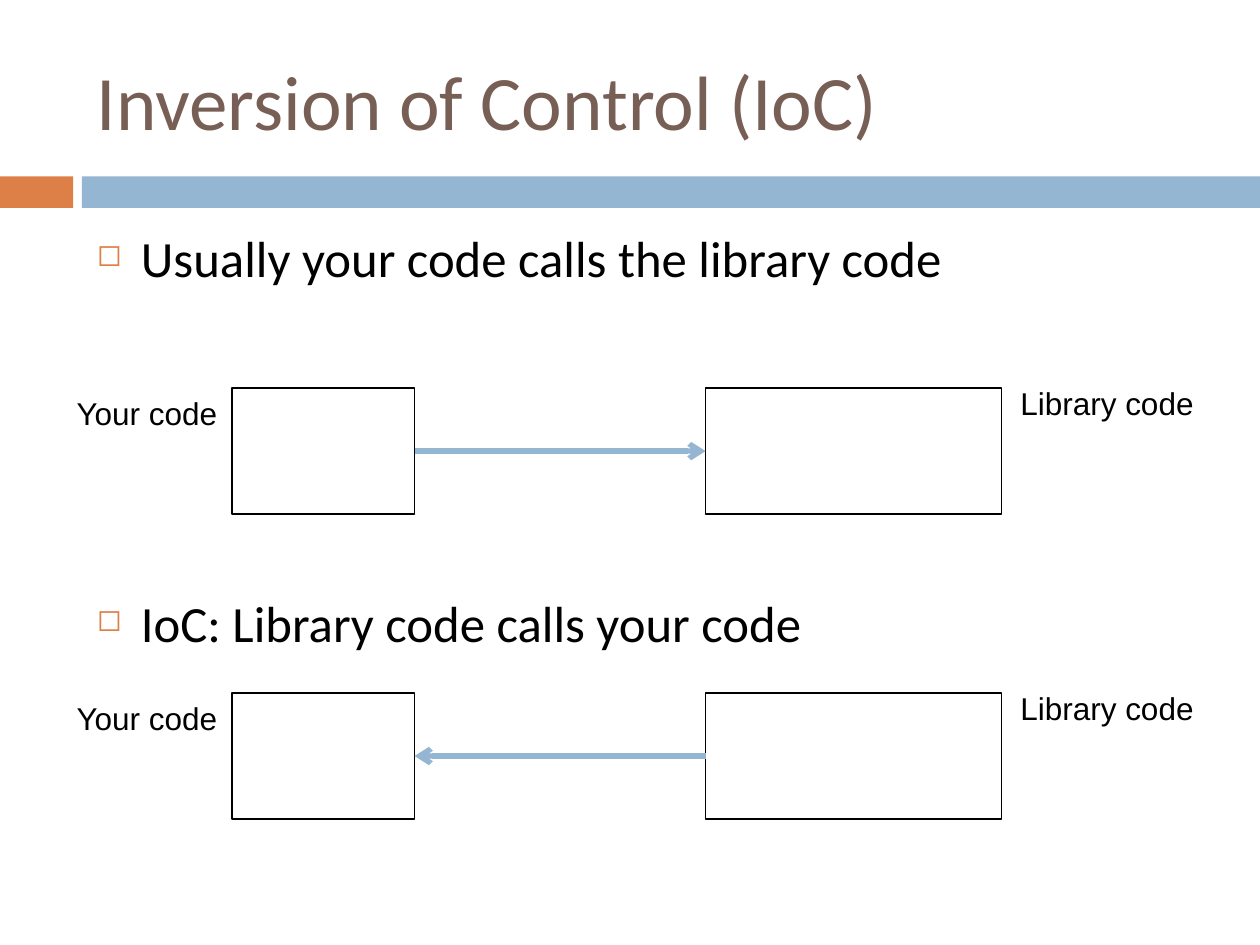
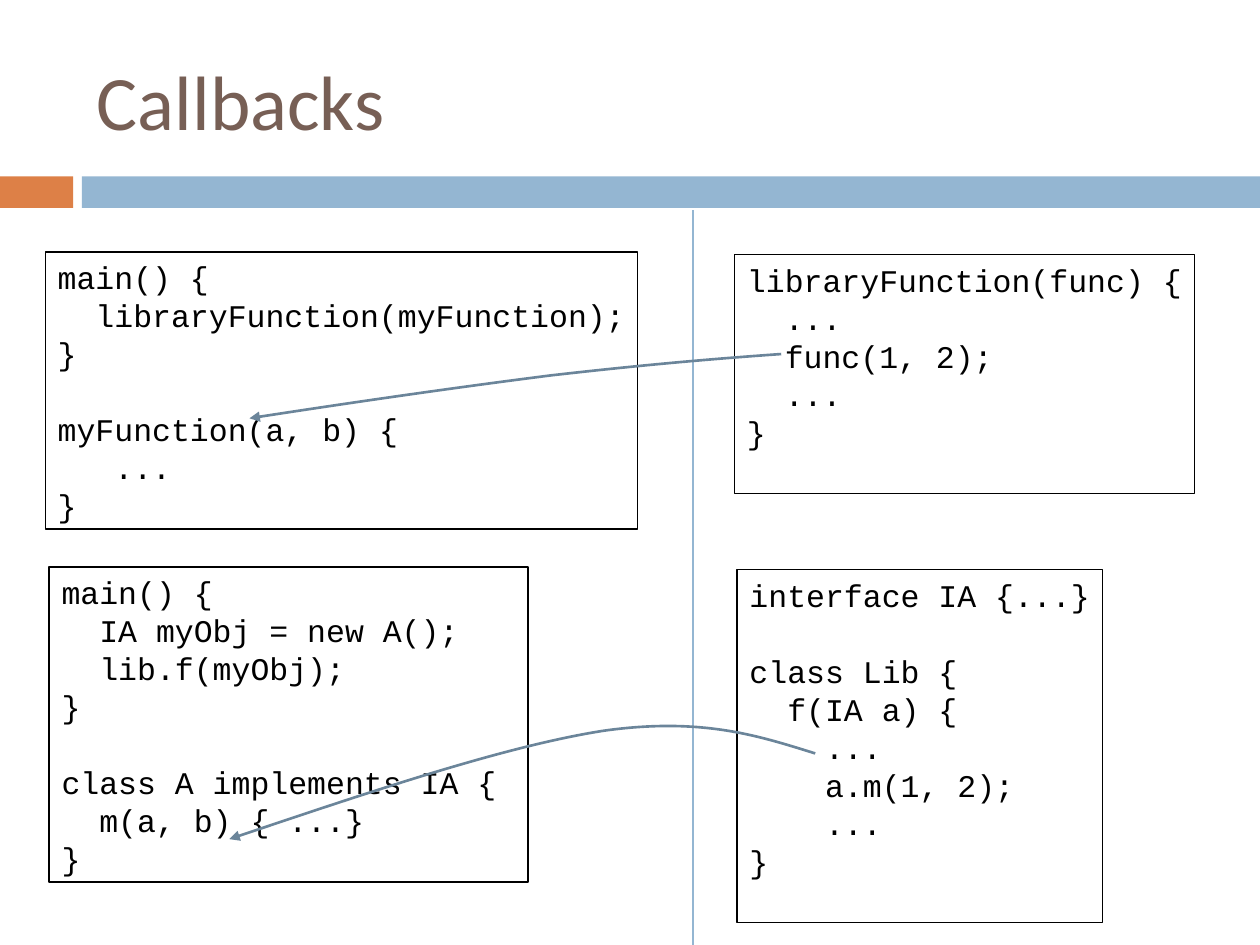
"""Build two slides on inversion of control and callbacks."""
from dataclasses import dataclass

from lxml import etree
from pptx import Presentation
from pptx.dml.color import RGBColor
from pptx.enum.shapes import MSO_CONNECTOR, MSO_SHAPE
from pptx.enum.text import MSO_ANCHOR
from pptx.oxml.ns import qn
from pptx.shapes.autoshape import Shape
from pptx.shapes.connector import Connector
from pptx.slide import Slide
from pptx.util import Inches, Pt

RECTANGLE = MSO_SHAPE.RECTANGLE
STRAIGHT = MSO_CONNECTOR.STRAIGHT
TOP = MSO_ANCHOR.TOP
MIDDLE = MSO_ANCHOR.MIDDLE

ORANGE = RGBColor(0xDD, 0x80, 0x47)
BLUE = RGBColor(0x94, 0xB6, 0xD2)
SLATE = RGBColor(0x6B, 0x85, 0x9A)
BROWN = RGBColor(0x77, 0x5F, 0x55)
BLACK = RGBColor(0, 0, 0)

TITLE_FONT = {"name": "Calibri", "size": Pt(44)}
BULLET_FONT = {"name": "Calibri", "size": Pt(29)}
LABEL_FONT = {"name": "Arial", "size": Pt(18)}
CODE_FONT = {"name": "Courier New", "size": Pt(18)}

CODE_LINE_HEIGHT = 21.7
CODE_CHARACTER_WIDTH = 0.15
BULLET_INDENT = 0.35
LEFT_SIDE, RIGHT_SIDE = 1, 3


@dataclass(frozen=True)
class Box:
    """A rectangle in inches."""

    left: float
    top: float
    width: float
    height: float

    def lengths(self) -> list[Inches]:
        """Return the position and size as lengths."""
        return [Inches(value) for value in (self.left, self.top, self.width, self.height)]


@dataclass(frozen=True)
class Band:
    """A filled strip below the title."""

    box: Box
    color: RGBColor


@dataclass(frozen=True)
class Bullet:
    """A bulleted line and the gap above it in points."""

    text: str
    space_before: float


@dataclass(frozen=True)
class CallDiagram:
    """A pair of code boxes and the direction of the call."""

    top: float
    from_library: bool


@dataclass(frozen=True)
class Listing:
    """A framed piece of code."""

    box: Box
    code: str


@dataclass(frozen=True)
class CallCurve:
    """A start point followed by cubic control points, three per segment."""

    points: tuple[tuple[float, float], ...]


TITLE_BOX = Box(0.67, 0.25, 8.92, 1.08)
BODY_BOX = Box(0.67, 1.75, 8.92, 5.58)

BANDS = (
    Band(Box(0, 1.4, 0.58, 0.25), ORANGE),
    Band(Box(0.65, 1.4, 9.35, 0.25), BLUE),
)

BULLETS = (
    Bullet("Usually your code calls the library code", 7),
    Bullet("IoC: Library code calls your code", 174),
)

CALL_DIAGRAMS = (CallDiagram(3.08, False), CallDiagram(5.5, True))

LISTINGS = (
    Listing(Box(0.36, 2, 4.7, 2.2), """main() {
  libraryFunction(myFunction);
}

myFunction(a, b) {
   ...
}"""),
    Listing(Box(5.83, 2.02, 3.65, 1.9), """libraryFunction(func) {
  ...
  func(1, 2);
  ...
}"""),
    Listing(Box(0.39, 4.5, 3.8, 2.5), """main() {
  IA myObj = new A();
  lib.f(myObj);
}

class A implements IA {
  m(a, b) { ...}
}"""),
    Listing(Box(5.85, 4.52, 2.9, 2.8), """interface IA {...}

class Lib {
  f(IA a) {
    ...
    a.m(1, 2);
    ...
}"""),
)

CALL_CURVES = (
    CallCurve(((6.47, 5.98), (6.02, 5.84), (5.57, 5.69), (4.79, 5.8),
               (4.02, 5.92), (2.92, 6.29), (1.82, 6.66))),
    CallCurve(((6.2, 2.81), (5.63, 2.85), (5.07, 2.9), (4.37, 2.98),
               (3.66, 3.07), (2.82, 3.19), (1.98, 3.32))),
)


def add_run(paragraph, text: str, font: dict, color: RGBColor = BLACK) -> None:
    """Add formatted text to a paragraph."""
    run = paragraph.add_run()
    run.text = text
    for name, value in font.items():
        setattr(run.font, name, value)
    run.font.color.rgb = color


def prepare_frame(shape: Shape, anchor: MSO_ANCHOR = TOP):
    """Set up the text frame of a shape and return it."""
    frame = shape.text_frame
    settings = {"word_wrap": True, "vertical_anchor": anchor, "margin_right": 0}
    for name, value in settings.items():
        setattr(frame, name, value)
    return frame


def add_text(slide: Slide, box: Box, text: str, font: dict,
             color: RGBColor = BLACK, anchor: MSO_ANCHOR = TOP) -> None:
    """Add a text box with one line."""
    frame = prepare_frame(slide.shapes.add_textbox(*box.lengths()), anchor)
    add_run(frame.paragraphs[0], text, font, color)


def add_frame(slide: Slide, box: Box) -> Shape:
    """Add an unfilled rectangle with a thin black outline."""
    shape = slide.shapes.add_shape(RECTANGLE, *box.lengths())
    shape.shadow.inherit = False
    shape.fill.background()
    style_line(shape, BLACK, 0.75)
    return shape


def style_line(shape: Shape | Connector, color: RGBColor, width: float) -> None:
    """Set the colour and width of an outline."""
    shape.line.color.rgb = color
    shape.line.width = Pt(width)


def add_arrowhead(shape: Shape | Connector, kind: str) -> None:
    """Put an arrowhead at the end of a line."""
    line = shape.element.spPr.find(qn("a:ln"))
    etree.SubElement(line, qn("a:tailEnd"), type=kind)


def add_line(slide: Slide, start: tuple[float, float], end: tuple[float, float],
             width: float) -> Connector:
    """Add a straight blue line without a shadow."""
    points = [Inches(value) for value in (*start, *end)]
    connector = slide.shapes.add_connector(STRAIGHT, *points)
    style_line(connector, BLUE, width)
    etree.SubElement(connector.element.spPr, qn("a:effectLst"))
    return connector


def add_titled_slide(presentation, title: str) -> Slide:
    """Add a blank slide with the shared bands and title."""
    slide = presentation.slides.add_slide(presentation.slide_layouts[6])
    for band in BANDS:
        shape = slide.shapes.add_shape(RECTANGLE, *band.box.lengths())
        shape.shadow.inherit = False
        shape.fill.solid()
        shape.fill.fore_color.rgb = band.color
        shape.line.fill.background()
    add_text(slide, TITLE_BOX, title, TITLE_FONT, BROWN, MIDDLE)
    return slide


def add_bullets(slide: Slide, bullets: tuple[Bullet, ...]) -> None:
    """Add the bulleted body text."""
    frame = prepare_frame(slide.shapes.add_textbox(*BODY_BOX.lengths()))
    for index, bullet in enumerate(bullets):
        paragraph = frame.add_paragraph() if index else frame.paragraphs[0]
        paragraph.space_before = Pt(bullet.space_before)
        add_run(paragraph, bullet.text, BULLET_FONT)
        properties = paragraph._p.get_or_add_pPr()
        properties.set("marL", str(Inches(BULLET_INDENT)))
        properties.set("indent", str(-Inches(BULLET_INDENT)))
        color = etree.SubElement(properties, qn("a:buClr"))
        etree.SubElement(color, qn("a:srgbClr"), val=str(ORANGE))
        etree.SubElement(properties, qn("a:buSzPct"), val="60000")
        etree.SubElement(properties, qn("a:buChar"), char="◻")


def add_call_diagram(slide: Slide, diagram: CallDiagram) -> None:
    """Add both code boxes, their labels and the call arrow."""
    top = diagram.top
    your_code = add_frame(slide, Box(1.84, top, 1.45, 1))
    library_code = add_frame(slide, Box(5.6, top, 2.35, 1))
    add_text(slide, Box(0.51, top, 1.34, 0.4), "Your code", LABEL_FONT)
    add_text(slide, Box(8, top - 0.08, 1.57, 0.4), "Library code", LABEL_FONT)
    ends = [(your_code, RIGHT_SIDE), (library_code, LEFT_SIDE)]
    if diagram.from_library:
        ends.reverse()
    arrow = add_line(slide, (3.29, top + 0.5), (5.6, top + 0.5), 3)
    arrow.begin_connect(*ends[0])
    arrow.end_connect(*ends[1])
    add_arrowhead(arrow, "arrow")


def add_listing(slide: Slide, listing: Listing) -> None:
    """Add framed code, turning leading and blank space into formatting."""
    frame = prepare_frame(add_frame(slide, listing.box))
    paragraph = frame.paragraphs[0]
    gap = 0.0
    for index, line in enumerate(listing.code.splitlines()):
        text = line.lstrip()
        if not text:
            gap += CODE_LINE_HEIGHT
            continue
        if index:
            paragraph = frame.add_paragraph()
        paragraph.line_spacing = Pt(CODE_LINE_HEIGHT)
        paragraph.space_before = Pt(gap)
        add_run(paragraph, text, CODE_FONT)
        properties = paragraph._p.get_or_add_pPr()
        indent = Inches((len(line) - len(text)) * CODE_CHARACTER_WIDTH)
        for name, value in {"algn": "l", "marL": str(indent), "indent": "0"}.items():
            properties.set(name, value)
        gap = 0.0


def add_call_curve(slide: Slide, curve: CallCurve) -> None:
    """Add a curved arrow made of cubic segments."""
    start, *controls = [(Inches(x), Inches(y)) for x, y in curve.points]
    builder = slide.shapes.build_freeform(*start)
    builder.add_line_segments(controls, close=False)
    shape = builder.convert_to_shape()
    shape.shadow.inherit = False
    shape.fill.background()
    style_line(shape, SLATE, 1.5)
    add_arrowhead(shape, "triangle")
    outline = next(shape.element.iter(qn("a:path")))
    segments = outline.findall(qn("a:lnTo"))
    for first in range(0, len(segments), 3):
        cubic = etree.SubElement(outline, qn("a:cubicBezTo"))
        for segment in segments[first:first + 3]:
            cubic.append(segment[0])
            outline.remove(segment)


def main() -> None:
    """Build and save the presentation."""
    presentation = Presentation()
    presentation.slide_width = Inches(10)
    presentation.slide_height = Inches(7.5)

    inversion_slide = add_titled_slide(presentation, "Inversion of Control (IoC)")
    add_bullets(inversion_slide, BULLETS)
    for diagram in CALL_DIAGRAMS:
        add_call_diagram(inversion_slide, diagram)

    callback_slide = add_titled_slide(presentation, "Callbacks")
    for listing in LISTINGS:
        add_listing(callback_slide, listing)
    add_line(callback_slide, (5.5, 1.67), (5.5, 7.5), 0.79)
    for curve in CALL_CURVES:
        add_call_curve(callback_slide, curve)

    presentation.save("out.pptx")


if __name__ == "__main__":
    main()
